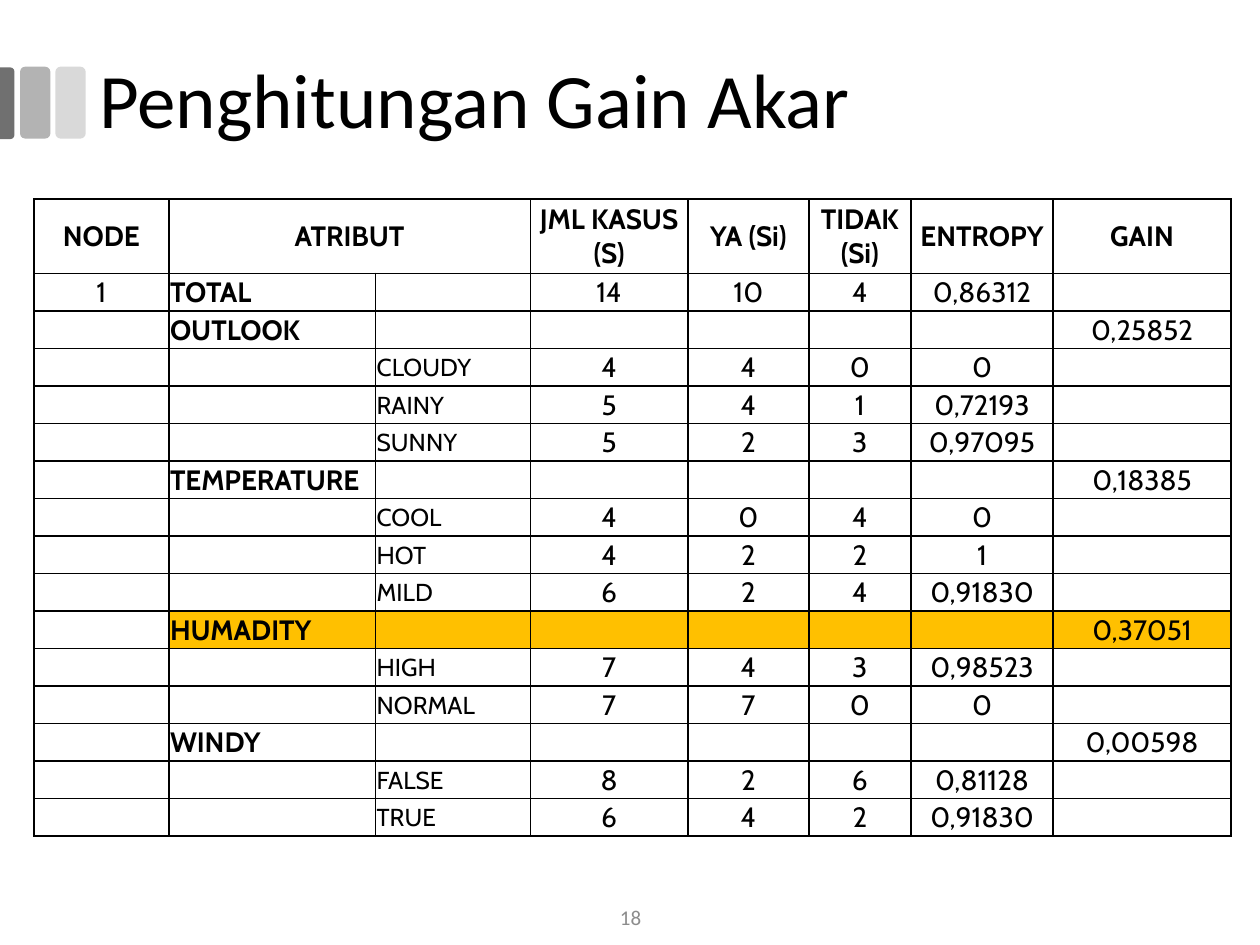
"""Build the slide that tabulates the root gain calculation of a decision tree."""
from dataclasses import dataclass

from lxml import etree
from pptx import Presentation
from pptx import util as u
from pptx.dml import color
from pptx.enum import shapes, text
from pptx.oxml import ns


@dataclass(frozen=True)
class Theme:
    """Hold the colours, fonts and type sizes."""
    ink: str = "000000"
    paper: str = "FFFFFF"
    highlight: str = "FFC000"
    muted: str = "8C8C8C"
    tabs: tuple = ("707070", "B3B3B3", "D9D9D9")
    heading_font: str = "Calibri"
    table_font: str = "Cabin"
    title: int = 44
    body: int = 16
    value: int = 14
    footer: int = 12
    border: int = 1


def write(frame, content, *, font, size, ink, bold=False, align=text.PP_ALIGN.LEFT, spacing=1.0):
    """Write one formatted paragraph into a text frame."""
    frame.word_wrap = True
    para = frame.paragraphs[0]
    para.alignment, para.line_spacing = align, spacing
    if not content:
        etree.SubElement(para._p, ns.qn("a:endParaRPr"), sz=str(size * 100))
        return
    span = para.add_run()
    span.text = content
    span.font.name, span.font.size, span.font.bold = font, u.Pt(size), bold
    span.font.color.rgb = color.RGBColor.from_string(ink)


class SlideBuilder:
    """Place styled elements on a slide by grid columns and rows."""

    COLUMNS, ROWS = 1000, 750

    def __init__(self, deck, theme):
        """Add a blank slide to the deck."""
        self.theme = theme
        self.slide = deck.slides.add_slide(deck.slide_layouts[6])
        self.column = deck.slide_width / self.COLUMNS
        self.row = deck.slide_height / self.ROWS

    def place(self, left, top, width, height):
        """Turn grid units into slide lengths."""
        return (u.Emu(round(left * self.column)), u.Emu(round(top * self.row)),
                u.Emu(round(width * self.column)), u.Emu(round(height * self.row)))

    def tab(self, kind, area, fill, rotation=0):
        """Draw one plain marker tab."""
        box = self.slide.shapes.add_shape(kind, *self.place(*area))
        box.shadow.inherit = False
        box.rotation = rotation
        box.fill.solid()
        box.fill.fore_color.rgb = color.RGBColor.from_string(fill)
        box.line.fill.background()
        return box

    def label(self, content, area, **style):
        """Add a vertically centred text box."""
        frame = self.slide.shapes.add_textbox(*self.place(*area)).text_frame
        frame.vertical_anchor = text.MSO_ANCHOR.MIDDLE
        write(frame, content, font=self.theme.heading_font, **style)

    def cell(self, cell, content, fill, **style):
        """Border, fill and write one table cell."""
        properties = cell._tc.get_or_add_tcPr()
        for side in ("lnL", "lnR", "lnT", "lnB"):
            line = etree.SubElement(properties, ns.qn(f"a:{side}"), w=str(u.Pt(self.theme.border)))
            solid = etree.SubElement(line, ns.qn("a:solidFill"))
            etree.SubElement(solid, ns.qn("a:srgbClr"), val=self.theme.ink)
        cell.fill.solid()
        cell.fill.fore_color.rgb = color.RGBColor.from_string(fill)
        cell.vertical_anchor = text.MSO_ANCHOR.MIDDLE
        cell.margin_left = cell.margin_right = cell.margin_top = u.Inches(0.01)
        cell.margin_bottom = 0
        write(cell.text_frame, content, font=self.theme.table_font, ink=self.theme.ink, **style)

    def table(self, left, top, widths, heights, records, highlighted):
        """Add the gain table with a merged attribute heading."""
        area = self.place(left, top, sum(widths), sum(heights))
        grid = self.slide.shapes.add_table(len(records), len(widths), *area).table
        grid.first_row = grid.horz_banding = False
        for column, width in zip(grid.columns, widths):
            column.width = u.Emu(round(width * self.column))
        for row, height in zip(grid.rows, heights):
            row.height = u.Emu(round(height * self.row))
        for r, record in enumerate(records):
            for c, content in enumerate(record):
                marked = record[1] == highlighted and c > 0
                named = r > 0 and c in (1, 2)
                self.cell(
                    grid.cell(r, c), content,
                    self.theme.highlight if marked else self.theme.paper,
                    size=self.theme.value if not content or named and c == 2 else self.theme.body,
                    bold=r == 0 or c == 1,
                    align=text.PP_ALIGN.LEFT if named else text.PP_ALIGN.CENTER)
        grid.cell(0, 1).merge(grid.cell(0, 2))


HEADER = ("NODE", "ATRIBUT", "", "JML KASUS (S)", "YA (Si)", "TIDAK (Si)", "ENTROPY", "GAIN")
TOTAL = ("1", "TOTAL", "", "14", "10", "4", "0,86312", "")
ATTRIBUTES = (
    ("OUTLOOK", "0,25852", (("CLOUDY", "4", "4", "0", "0"),
                            ("RAINY", "5", "4", "1", "0,72193"),
                            ("SUNNY", "5", "2", "3", "0,97095"))),
    ("TEMPERATURE", "0,18385", (("COOL", "4", "0", "4", "0"),
                                ("HOT", "4", "2", "2", "1"),
                                ("MILD", "6", "2", "4", "0,91830"))),
    ("HUMADITY", "0,37051", (("HIGH", "7", "4", "3", "0,98523"),
                             ("NORMAL", "7", "7", "0", "0"))),
    ("WINDY", "0,00598", (("FALSE", "8", "2", "6", "0,81128"),
                          ("TRUE", "6", "4", "2", "0,91830"))),
)


def gain_records():
    """List the table rows, each attribute followed by its values."""
    records = [HEADER, TOTAL]
    for name, gain, values in ATTRIBUTES:
        records.append(("", name, *[""] * 5, gain))
        records.extend(("", "", *value, "") for value in values)
    return records


def main():
    """Build and save the deck."""
    deck = Presentation()
    deck.slide_width, deck.slide_height = u.Inches(10), u.Inches(7.5)
    theme = Theme()
    page = SlideBuilder(deck, theme)

    kinds = shapes.MSO_SHAPE
    edge = page.tab(kinds.ROUND_2_SAME_RECTANGLE, (-23, 76, 57, 12), theme.tabs[0], rotation=90)
    edge.adjustments[0], edge.adjustments[1] = 0.29, 0
    for index, fill in enumerate(theme.tabs[1:]):
        page.tab(kinds.ROUNDED_RECTANGLE, (16 + 28 * index, 53, 24, 57), fill)

    page.label("Penghitungan Gain Akar", (69, 17, 862, 131),
               size=theme.title, ink=theme.ink, spacing=0.9)
    records = gain_records()
    body_rows = len(records) - 1
    page.table(27, 158, (107, 164, 123, 125, 96, 81, 113, 141),
               [59] + [447 / body_rows] * body_rows, records, "HUMADITY")
    page.label("18", (388, 708, 225, 40), size=theme.footer, ink=theme.muted,
               align=text.PP_ALIGN.CENTER)
    deck.save("out.pptx")


if __name__ == "__main__":
    main()
